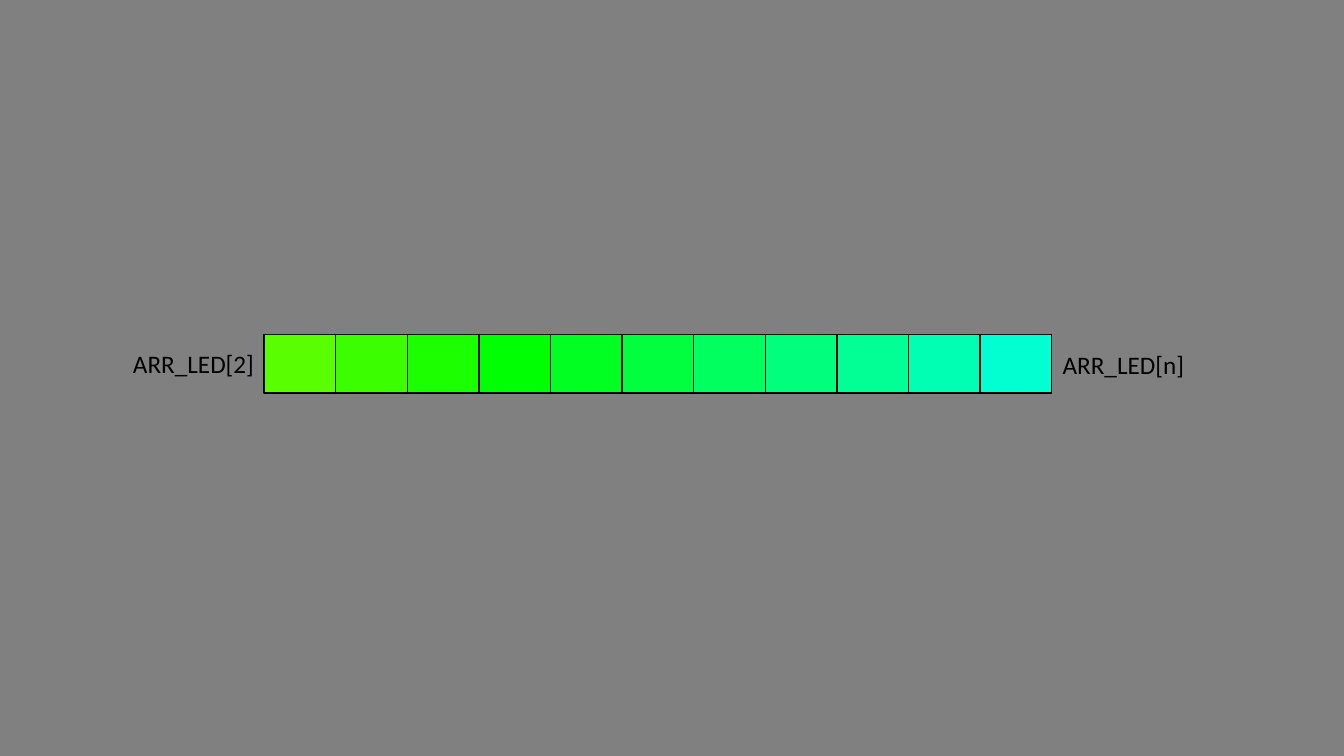
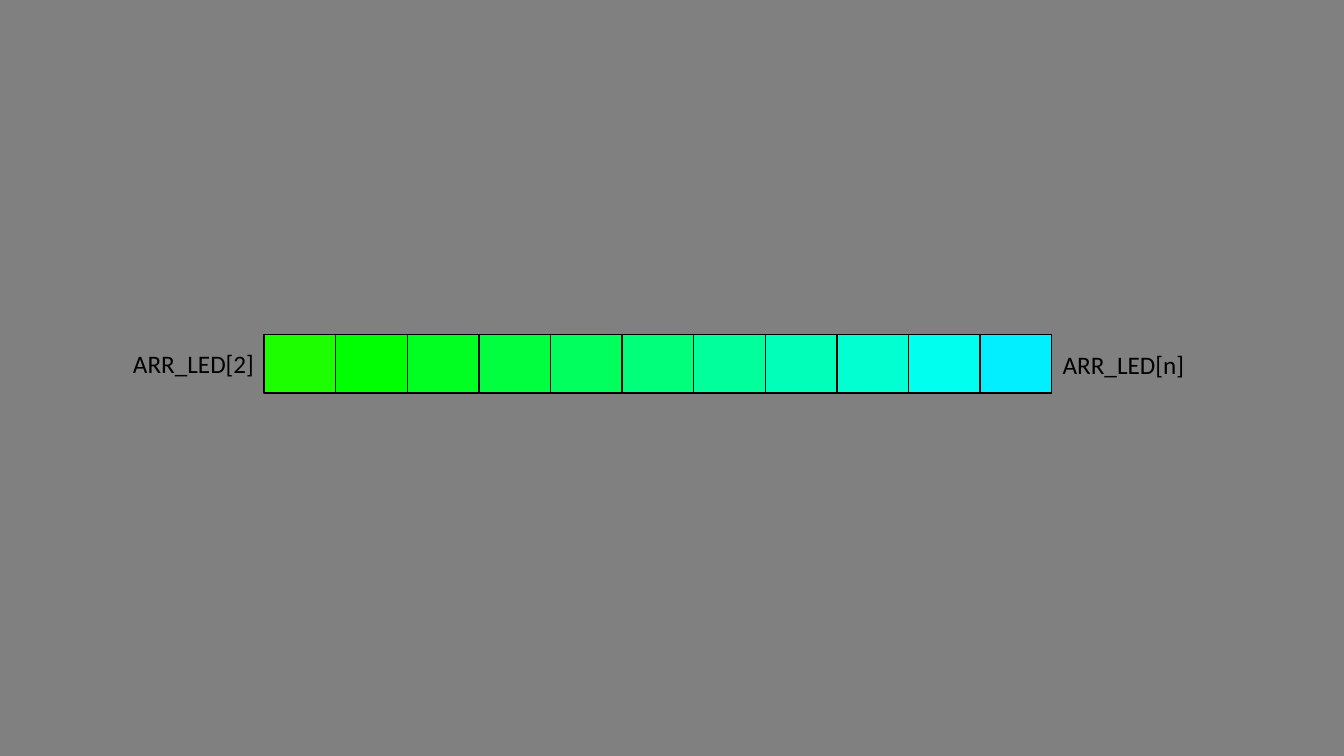
"""Build two slides that show a strip of LED colours, shifted from one to the next."""
import pptx
import pptx.dml.color
import pptx.enum.shapes
import pptx.enum.text
import pptx.util

EMU_PER_PX = 9144
SLIDE_WIDTH, SLIDE_HEIGHT = 1333, 750
STRIP_LEFT, STRIP_TOP = 262, 332
LED_WIDTH, LED_HEIGHT = 71, 58
LABEL_WIDTH, LABEL_HEIGHT = 142, 40

COLORS = {
    "background": "808080",
    "ink": "000000",
    "strips": [
        ["59FF01", "3BFF01", "1CFF01", "01FF04", "01FF22", "01FF40",
         "01FF5F", "01FF7D", "01FF95", "01FFB3", "01FFD2"],
        ["1DFF01", "01FF03", "01FF22", "01FF40", "01FF5E", "01FF7C",
         "01FF9B", "01FFB9", "01FFD1", "01FFEF", "01EFFF"],
    ],
}


def px(length):
    return pptx.util.Emu(length * EMU_PER_PX)


def rgb(color):
    return pptx.dml.color.RGBColor.from_string(color)


def paint_background(master):
    fill = master.background.fill
    fill.solid()
    fill.fore_color.rgb = rgb(COLORS["background"])


def add_led(page, left, color):
    led = page.shapes.add_shape(
        pptx.enum.shapes.MSO_SHAPE.RECTANGLE,
        px(left), px(STRIP_TOP), px(LED_WIDTH), px(LED_HEIGHT))
    led.shadow.inherit = False
    led.fill.solid()
    led.fill.fore_color.rgb = rgb(color)
    led.line.color.rgb = rgb(COLORS["ink"])
    led.line.width = pptx.util.Pt(1)


def add_label(page, text, left, top, size=18, font="Calibri", color=COLORS["ink"]):
    box = page.shapes.add_textbox(px(left), px(top), px(LABEL_WIDTH), px(LABEL_HEIGHT))
    frame = box.text_frame
    frame.word_wrap = False
    frame.auto_size = pptx.enum.text.MSO_AUTO_SIZE.SHAPE_TO_FIT_TEXT
    span = frame.paragraphs[0].add_run()
    span.text = text
    span.font.name = font
    span.font.size = pptx.util.Pt(size)
    span.font.color.rgb = rgb(color)


def add_strip_page(deck, led_colors):
    page = deck.slides.add_slide(deck.slide_layouts.get_by_name("Blank"))
    for index, color in enumerate(led_colors):
        add_led(page, STRIP_LEFT + index * LED_WIDTH, color)
    add_label(page, "ARR_LED[2]", left=122, top=341)
    add_label(page, "ARR_LED[n]", left=1044, top=342)


def main():
    deck = pptx.Presentation()
    deck.slide_width, deck.slide_height = px(SLIDE_WIDTH), px(SLIDE_HEIGHT)
    paint_background(deck.slide_master)
    for led_colors in COLORS["strips"]:
        add_strip_page(deck, led_colors)
    deck.save("out.pptx")


if __name__ == "__main__":
    main()
